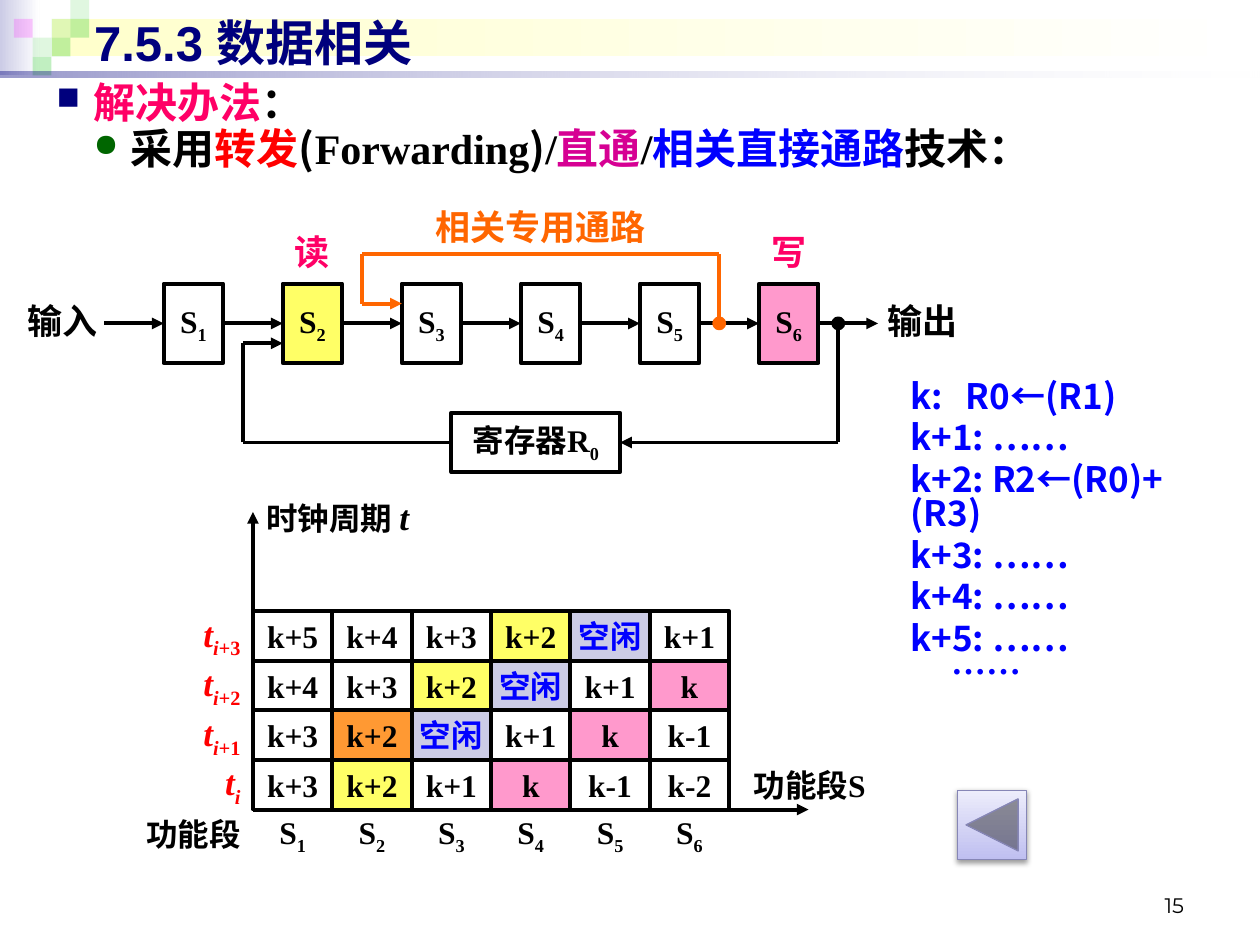
from dataclasses import dataclass
from typing import Optional

from lxml import etree
from pptx import Presentation
from pptx.dml.color import RGBColor
from pptx.enum.shapes import MSO_CONNECTOR, MSO_SHAPE
from pptx.enum.text import MSO_ANCHOR, PP_ALIGN
from pptx.oxml.ns import qn
from pptx.util import Cm, Pt

BLACK = RGBColor(0x00, 0x00, 0x00)
WHITE = RGBColor(0xFF, 0xFF, 0xFF)
NAVY = RGBColor(0x00, 0x00, 0x7D)
BLUE = RGBColor(0x00, 0x00, 0xFF)
RED = RGBColor(0xFF, 0x00, 0x00)
ROSE = RGBColor(0xFF, 0x00, 0x66)
PURPLE = RGBColor(0xD6, 0x00, 0x93)
ORANGE = RGBColor(0xFF, 0x66, 0x00)
AMBER = RGBColor(0xFF, 0x99, 0x33)
YELLOW = RGBColor(0xFF, 0xFF, 0x66)
CREAM = RGBColor(0xFF, 0xFF, 0xCC)
PINK = RGBColor(0xFF, 0x99, 0xCC)
LAVENDER = RGBColor(0xCC, 0xCC, 0xE6)
GREEN = RGBColor(0x33, 0xCC, 0x33)
DARK_GREEN = RGBColor(0x00, 0x66, 0x00)
MAGENTA = RGBColor(0xFF, 0x00, 0xFF)
BUTTON_DARK = RGBColor(0xBF, 0xBF, 0xF0)
BUTTON_LIGHT = RGBColor(0xED, 0xED, 0xFB)
BUTTON_EDGE = RGBColor(0x86, 0x86, 0xB6)

LEFT, CENTER, RIGHT = PP_ALIGN.LEFT, PP_ALIGN.CENTER, PP_ALIGN.RIGHT
TOP, MIDDLE, BOTTOM = MSO_ANCHOR.TOP, MSO_ANCHOR.MIDDLE, MSO_ANCHOR.BOTTOM
RECT, OVAL = MSO_SHAPE.RECTANGLE, MSO_SHAPE.OVAL
BACK_BUTTON = MSO_SHAPE.ACTION_BUTTON_BACK_OR_PREVIOUS
STRAIGHT = MSO_CONNECTOR.STRAIGHT
SERIF, SANS, CJK, NUMERAL = "Times New Roman", "Arial", "Noto Sans CJK SC", "Montserrat"


@dataclass
class Part:
    """A stretch of text and what sets it apart from its paragraph."""
    text: str
    color: Optional[RGBColor] = None
    sub: bool = False
    italic: Optional[bool] = None
    font: Optional[str] = None
    size: Optional[int] = None


def write(paragraph, parts, size=18, font=SERIF, color=BLACK, align=LEFT, bold=True):
    """Fill a paragraph with parts that share one base font."""
    paragraph.alignment = align
    base = paragraph.font
    base.size, base.name, base.bold = Pt(size), font, bold
    base.color.rgb = color
    for part in [Part(parts)] if isinstance(parts, str) else parts:
        run = paragraph.add_run()
        run.text = part.text
        if part.color is not None:
            run.font.color.rgb = part.color
        if part.italic is not None:
            run.font.italic = part.italic
        if part.font:
            run.font.name = part.font
        if part.size:
            run.font.size = Pt(part.size)
        if part.sub:
            run._r.get_or_add_rPr().set("baseline", "-25000")


def subscripted(letter, index):
    """Return the parts of a letter with a lowered index."""
    return [Part(letter), Part(str(index), sub=True)]


def text_box(slide, x, y, w, h, anchor=TOP, wrap=True):
    """Add an empty text box and return its frame."""
    frame = slide.shapes.add_textbox(Cm(x), Cm(y), Cm(w), Cm(h)).text_frame
    frame.word_wrap, frame.vertical_anchor = wrap, anchor
    return frame


def label(slide, x, y, w, h, parts, anchor=MIDDLE, wrap=False, **style):
    """Add a one-paragraph text box."""
    write(text_box(slide, x, y, w, h, anchor, wrap).paragraphs[0], parts, **style)


def block(slide, x, y, w, h, fill=None, line=None, width=2.25, kind=RECT):
    """Add a preset shape with a flat fill and a plain outline."""
    shape = slide.shapes.add_shape(kind, Cm(x), Cm(y), Cm(w), Cm(h))
    shape.shadow.inherit = False
    if fill is None:
        shape.fill.background()
    else:
        shape.fill.solid()
        shape.fill.fore_color.rgb = fill
    if line is None:
        shape.line.fill.background()
    else:
        shape.line.color.rgb, shape.line.width = line, Pt(width)
    return shape


def text_block(slide, x, y, w, h, parts, fill=None, color=BLACK):
    """Add an outlined rectangle with a centred caption."""
    frame = block(slide, x, y, w, h, fill, BLACK).text_frame
    frame.word_wrap, frame.vertical_anchor = False, MIDDLE
    write(frame.paragraphs[0], parts, color=color, align=CENTER)


def blend(shape, start, end, angle=0):
    """Give a shape a two-colour gradient."""
    shape.fill.gradient()
    shape.fill.gradient_angle = angle
    for stop, color in zip(shape.fill.gradient_stops, (start, end)):
        stop.color.rgb = color


def set_opacity(shape, *percents):
    """Set the opacity of each colour in the fill of a shape."""
    for color, percent in zip(shape._element.spPr.iter(qn("a:srgbClr")), percents):
        etree.SubElement(color, qn("a:alpha"), val=str(percent * 1000))


def wire(slide, points, color=BLACK, arrow=True):
    """Join points with straight lines, the last one with an arrowhead."""
    for start, end in zip(points, points[1:]):
        line = slide.shapes.add_connector(STRAIGHT, *map(Cm, start + end))
        line.line.color.rgb, line.line.width = color, Pt(2.25)
        if arrow and end == points[-1]:
            etree.SubElement(line.line._get_or_add_ln(), qn("a:tailEnd"), type="triangle")
        etree.SubElement(line._element.spPr, qn("a:effectLst"))


def draw_header(slide, x, y, w):
    """Draw the decorated title band."""
    unit = 0.38
    blend(block(slide, x, y, 0.8, 4 * unit), LAVENDER, WHITE)
    blend(block(slide, x + 1.04, y + unit, w - 1.14, 2 * unit), CREAM, WHITE)
    squares = [(2, 1, GREEN, 15), (3, 0, GREEN, 15), (3, 1, GREEN, 30), (1, 2, GREEN, 15),
               (0, 1, MAGENTA, 20), (2, 2, GREEN, 30), (1, 3, GREEN, 30)]
    for column, row, color, percent in squares:
        square = block(slide, x + 0.28 + column * unit, y + row * unit, unit, unit, color)
        set_opacity(square, percent)
    rule = block(slide, x, y + 1.44, w, 0.13)
    blend(rule, NAVY, WHITE)
    set_opacity(rule, 40, 10)
    label(slide, x + 1.65, y + 0.13, 22.86, 1.45, "7.5.3 数据相关", wrap=True,
          size=28, font=SANS, color=NAVY)


def draw_solution(slide, x, y, w, h):
    """Write the bulleted solution."""
    frame = text_box(slide, x, y, w, h)
    method = [Part("采用"), Part("转发", RED), Part("(", font=CJK), Part("Forwarding"),
              Part(")", font=CJK), Part("/"), Part("直通", PURPLE), Part("/"),
              Part("相关直接通路", BLUE), Part("技术：")]
    points = [("■", NAVY, [Part("解决办法", ROSE), Part("：")]), ("●", DARK_GREEN, method)]
    for level, (mark, mark_color, parts) in enumerate(points):
        paragraph = frame.add_paragraph() if level else frame.paragraphs[0]
        paragraph.level, paragraph.line_spacing = level, 0.82
        if level:
            paragraph.space_before = Pt(2.4)
        properties = paragraph._p.get_or_add_pPr()
        properties.set("marL", str(Cm(0.75 * (level + 1))))
        properties.set("indent", str(Cm(-0.75)))
        bullet_color = etree.SubElement(properties, qn("a:buClr"))
        etree.SubElement(bullet_color, qn("a:srgbClr"), val=str(mark_color))
        etree.SubElement(properties, qn("a:buSzPct"), val="75000")
        etree.SubElement(properties, qn("a:buChar"), char=mark)
        write(paragraph, parts, size=24)


def draw_pipeline(slide, x, y):
    """Draw six stages with the register loop and the bypass."""
    pitch, middle = 2.4, y + 0.8
    for stage in range(6):
        start = x + stage * pitch
        wire(slide, [(start, middle), (start + 1.2, middle)])
        text_block(slide, start + 1.2, y, 1.2, 1.6, subscripted("S", stage + 1),
                   {1: YELLOW, 5: PINK}.get(stage))
    wire(slide, [(x + 14.4, middle), (x + 15.6, middle)])
    wire(slide, [(x + 12.4, middle), (x + 12.4, y - 0.6), (x + 5.2, y - 0.6),
                 (x + 5.2, y + 0.4), (x + 6, y + 0.4)], ORANGE)
    text_block(slide, x + 7, y + 2.6, 3.4, 1.2, subscripted("寄存器R", 0))
    wire(slide, [(x + 14.8, middle), (x + 14.8, y + 3.2), (x + 10.4, y + 3.2)])
    wire(slide, [(x + 7, y + 3.2), (x + 2.8, y + 3.2), (x + 2.8, y + 1.2), (x + 3.6, y + 1.2)])
    for dot_x, color in ((12.4, ORANGE), (14.8, BLACK)):
        block(slide, x + dot_x - 0.1, middle - 0.1, 0.2, 0.2, color, color, kind=OVAL)
    captions = [(-1.8, 0.2, 2.4, "输入", BLACK, LEFT), (15.4, 0.2, 2.2, "输出", BLACK, CENTER),
                (5.2, -1.7, 7.2, "相关专用通路", ORANGE, CENTER),
                (3.4, -1.2, 1.6, "读", ROSE, CENTER), (13, -1.2, 1.6, "写", ROSE, CENTER)]
    for dx, dy, w, text, color, align in captions:
        label(slide, x + dx, y + dy, w, 1.1, text, anchor=TOP, wrap=True,
              size=20, font=SANS, color=color, align=align)


def draw_space_time(slide, x, y):
    """Draw the space-time diagram with its axes."""
    w, h = 1.6, 1.0
    rows = [["k+5", "k+4", "k+3", "k+2", "空闲", "k+1"],
            ["k+4", "k+3", "k+2", "空闲", "k+1", "k"],
            ["k+3", "k+2", "空闲", "k+1", "k", "k-1"],
            ["k+3", "k+2", "k+1", "k", "k-1", "k-2"]]
    fills = {"k+2": YELLOW, "空闲": LAVENDER, "k": PINK}
    bottom = y + len(rows) * h
    for row, tasks in enumerate(rows):
        for column, task in enumerate(tasks):
            fill = AMBER if (row, column) == (2, 1) else fills.get(task)
            text_block(slide, x + column * w, y + row * h, w, h, task, fill,
                       BLUE if task == "空闲" else BLACK)
        cycle = len(rows) - 1 - row
        tick = [Part("t", italic=True), Part("i+" if cycle else "i", sub=True, italic=True)]
        if cycle:
            tick.append(Part(str(cycle), sub=True))
        label(slide, x - 3.2, y + row * h, 3.2, h, tick, size=20, color=RED, align=RIGHT)
    for column in range(6):
        label(slide, x + column * w, bottom, w, h, subscripted("S", column + 1), align=CENTER)
    label(slide, x - 3.2, bottom, 3.2, h, "功能段", align=RIGHT)
    wire(slide, [(x, bottom), (x, y - 2)])
    wire(slide, [(x, bottom), (x + 11.2, bottom)])
    label(slide, x - 0.2, y - 2.4, 3.6, h,
          [Part("时钟周期 "), Part("t", italic=True, size=20)], align=RIGHT)
    label(slide, x + 9.8, bottom - h, 2.8, h, "功能段S", align=RIGHT)


def draw_instructions(slide, x, y, w, h):
    """List the instructions."""
    frame = text_box(slide, x, y, w, h)
    lines = ["k:\tR0←(R1)", "k+1: ……", "k+2: R2←(R0)+(R3)", "k+3: ……", "k+4: ……",
             "k+5: ……", "……"]
    for order, line in enumerate(lines):
        paragraph = frame.paragraphs[0] if order == 0 else frame.add_paragraph()
        paragraph.line_spacing = 0.82
        properties = paragraph._p.get_or_add_pPr()
        if line == lines[-1]:
            properties.set("marL", str(Cm(0.83)))
        elif order:
            paragraph.space_before = Pt(4)
        if "\t" in line:
            tabs = etree.SubElement(properties, qn("a:tabLst"))
            etree.SubElement(tabs, qn("a:tab"), pos=str(Cm(1.12)), algn="l")
        write(paragraph, line, size=20, font=CJK, color=BLUE)


def draw_back_button(slide, x, y, side):
    """Draw the shaded back button."""
    button = block(slide, x, y, side, side, line=BUTTON_EDGE, width=0.75, kind=BACK_BUTTON)
    blend(button, BUTTON_DARK, BUTTON_LIGHT, 90)
    effects = button._element.spPr.find(qn("a:effectLst"))
    shadow = etree.SubElement(effects, qn("a:outerShdw"), blurRad=str(Pt(3.1)),
                              dist=str(Pt(1.6)), dir="5400000", rotWithShape="0")
    tone = etree.SubElement(shadow, qn("a:srgbClr"), val=str(BLACK))
    etree.SubElement(tone, qn("a:alpha"), val="38000")


def main():
    """Build and save the slide."""
    deck = Presentation()
    deck.slide_width, deck.slide_height = Cm(25.4), Cm(19.05)
    slide = deck.slides.add_slide(deck.slide_layouts[6])
    draw_header(slide, 0, 0, 25.4)
    draw_solution(slide, 0.89, 1.6, 24.2, 2.8)
    draw_instructions(slide, 18.1, 7.57, 6.8, 7.4)
    draw_pipeline(slide, 2.1, 5.72)
    draw_space_time(slide, 5.1, 12.32)
    draw_back_button(slide, 19.3, 15.93, 1.4)
    label(slide, 18.2, 17.35, 5.92, 1.27, "15", anchor=BOTTOM, wrap=True,
          size=12, font=NUMERAL, align=RIGHT, bold=False)
    deck.save("out.pptx")


if __name__ == "__main__":
    main()
